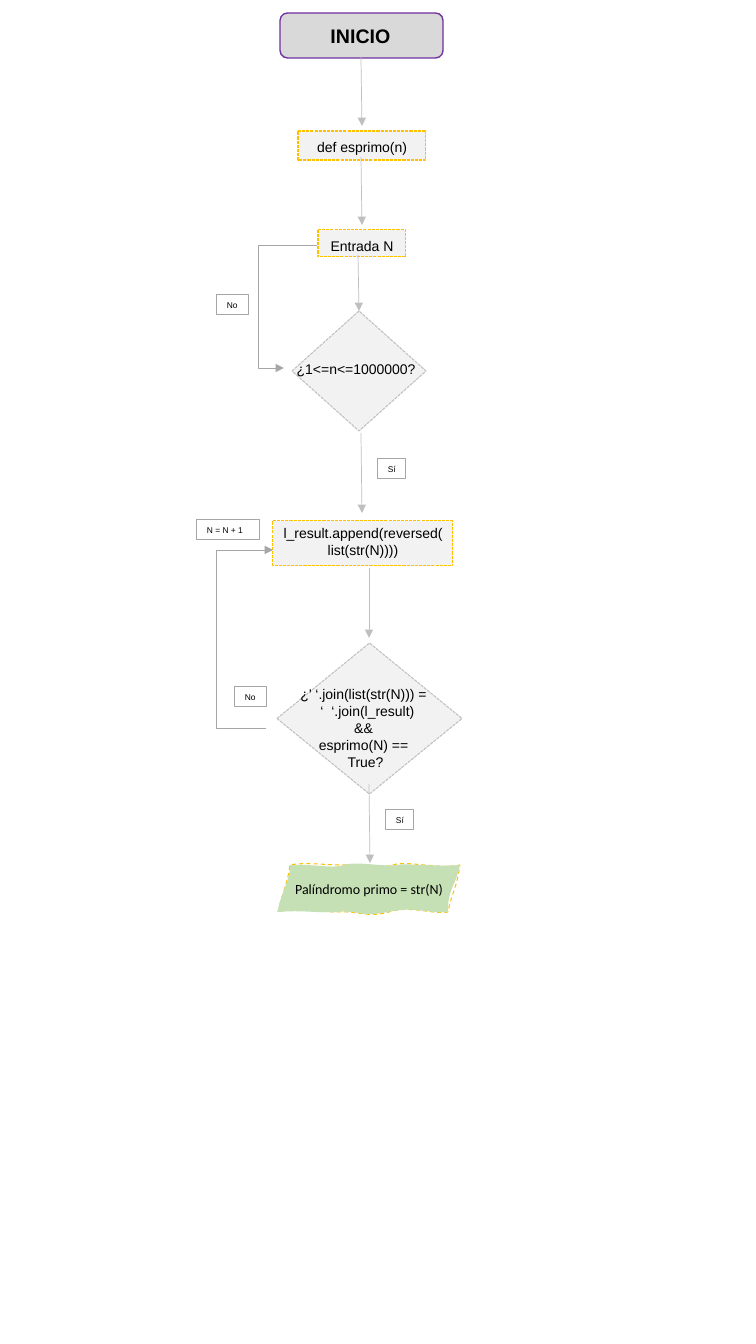
from dataclasses import dataclass

from lxml.etree import SubElement
from pptx import Presentation
from pptx.dml.color import RGBColor
from pptx.enum.dml import MSO_LINE
from pptx.enum.shapes import MSO_CONNECTOR, MSO_SHAPE
from pptx.enum.text import MSO_ANCHOR, PP_ALIGN
from pptx.oxml.ns import qn
from pptx.util import Pt

SCALE = 914400 / 100.8


@dataclass(frozen=True)
class Theme:
    """Colours, fonts and type sizes of the flowchart."""
    ink: str = "000000"
    start_fill: str = "D9D9D9"
    start_line: str = "7030A0"
    step_fill: str = "F2F2F2"
    process_line: str = "FFC000"
    arrow: str = "BFBFBF"
    loop: str = "A6A6A6"
    result_fill: str = "C5E0B4"
    font: str = "Arial"
    result_font: str = "Calibri"
    title: int = 14
    body: int = 10
    small: int = 6


T = Theme()

RESULT_START = (278, 912)
RESULT_OUTLINE = [
    ((284, 888), (288, 882), (290, 865)), ((305, 862), (325, 865), (342, 865)),
    ((359, 864), (381, 869), (393, 865)), ((405, 860), (442, 870), (460, 865)),
    ((457, 887), (452, 893), (448, 912)), ((434, 915), (410, 905), (389, 912)),
    ((369, 918), (357, 911), (339, 912)), ((320, 913), (306, 905), (278, 912)),
]
RESULT_BODY = [
    ((278, 900), (292, 876), (290, 865)), ((317, 864), (332, 869), (344, 865)),
    ((356, 861), (383, 867), (396, 865)), ((407, 863), (435, 867), (460, 865)),
    ((455, 888), (448, 888), (448, 912)), ((426, 914), (417, 906), (388, 912)),
    ((359, 918), (361, 910), (337, 912)), ((312, 913), (303, 910), (278, 912)),
]


def px(*values):
    """Turn pixels into EMU."""
    return [round(v * SCALE) for v in values]


def paint(s, fill=None, line=None, width=0.75, dash=None):
    """Set the fill and line of a shape; None leaves either out."""
    s.shadow.inherit = False
    if fill:
        s.fill.solid()
        s.fill.fore_color.rgb = RGBColor.from_string(fill)
    else:
        s.fill.background()
    s.line.color.rgb = RGBColor.from_string(line)
    s.line.width = Pt(width)
    s.line.dash_style = dash


def write(s, text, size=T.body, font=T.font, bold=False,
          align=PP_ALIGN.CENTER, anchor=MSO_ANCHOR.TOP):
    """Write text into a shape, one paragraph per line."""
    tf = s.text_frame
    tf.word_wrap = True
    tf.vertical_anchor = anchor
    for i, line in enumerate(text.split("\n")):
        p = tf.add_paragraph() if i else tf.paragraphs[0]
        p.alignment = align
        r = p.add_run()
        r.text = line
        r.font.size, r.font.name, r.font.bold = Pt(size), font, bold
        r.font.color.rgb = RGBColor.from_string(T.ink)


def add_step(shapes, kind, box, text_box, text, size=T.body, bold=False,
             **style):
    """Add a flowchart symbol grouped with its label."""
    group = shapes.add_group_shape().shapes
    paint(group.add_shape(kind, *px(*box)), **style)
    write(group.add_textbox(*px(*text_box)), text, size=size, bold=bold)


def add_tag(shapes, x, y, width, text):
    """Add a small framed note beside an arrow."""
    s = shapes.add_shape(MSO_SHAPE.RECTANGLE, *px(x, y, width, 20))
    paint(s, line=T.loop)
    write(s, text, size=T.small, align=PP_ALIGN.LEFT)
    s.text_frame.margin_right = 0


def add_arrow(shapes, x1, y1, x2, y2, color=T.arrow, via=None):
    """Add a straight arrow, or an elbow that runs through x = via."""
    kind = MSO_CONNECTOR.STRAIGHT if via is None else MSO_CONNECTOR.ELBOW
    s = shapes.add_connector(kind, *px(x1, y1, x2, y2))
    s.line.color.rgb = RGBColor.from_string(color)
    s.line.width = Pt(0.5)
    SubElement(s.line._get_or_add_ln(), qn("a:tailEnd"), type="triangle")
    sp = s._element.spPr
    SubElement(sp, qn("a:effectLst"))
    if via is not None:
        bend = round((via - x1) / (x2 - x1) * 100000)
        guides = sp.find(qn("a:prstGeom")).get_or_add_avLst()
        SubElement(guides, qn("a:gd"), name="adj1", fmla=f"val {bend}")


def add_curved(shapes, start, layers, **style):
    """Add one shape whose layers are (curves, path attributes) pairs."""
    corners = [end for _, _, end in layers[0][0]]
    builder = shapes.build_freeform(*px(*start))
    builder.add_line_segments([px(*pt) for pt in corners])
    s = builder.convert_to_shape()
    left, top = (min(axis) for axis in zip(*corners))

    def add_points(parent, tag, points):
        node = SubElement(parent, qn(tag))
        for point in points:
            x, y = px(point[0] - left, point[1] - top)
            SubElement(node, qn("a:pt"), x=str(x), y=str(y))

    paths = s._element.spPr.find(qn("a:custGeom")).find(qn("a:pathLst"))
    paths.clear()
    for curves, attributes in layers:
        layer = SubElement(paths, qn("a:path"), w=str(s.width),
                           h=str(s.height), **attributes)
        add_points(layer, "a:moveTo", [start])
        for curve in curves:
            add_points(layer, "a:cubicBezTo", curve)
        SubElement(layer, qn("a:close"))
    paint(s, **style)
    return s


def main():
    """Build the flowchart slide."""
    prs = Presentation()
    prs.slide_width, prs.slide_height = px(756, 1344)
    shapes = prs.slides.add_slide(prs.slide_layouts[6]).shapes

    add_step(shapes, MSO_SHAPE.FLOWCHART_ALTERNATE_PROCESS,
             (280, 13, 163, 45), (292, 19, 137, 34), "INICIO",
             size=T.title, bold=True,
             fill=T.start_fill, line=T.start_line, width=1)

    steps = [
        (MSO_SHAPE.FLOWCHART_PROCESS, T.process_line,
         (298, 131, 128, 29), (298, 134, 128, 65), "def esprimo(n)"),
        (MSO_SHAPE.FLOWCHART_PROCESS, T.process_line,
         (318, 230, 88, 27), (318, 233, 88, 27), "Entrada N"),
        (MSO_SHAPE.FLOWCHART_DECISION, T.arrow,
         (292, 311, 134, 120), (284, 356, 144, 27), "¿1<=n<=1000000?"),
        (MSO_SHAPE.FLOWCHART_PROCESS, T.process_line,
         (273, 521, 180, 45), (273, 520, 180, 61),
         "l_result.append(reversed(list(str(N))))"),
        (MSO_SHAPE.FLOWCHART_DECISION, T.arrow,
         (277, 643, 185, 151), (266, 681, 199, 95),
         "¿’ ‘.join(list(str(N))) = \n ‘  ‘.join(l_result)\n&& \n"
         "esprimo(N) == \nTrue?"),
    ]
    for kind, line, box, text_box, text in steps:
        add_step(shapes, kind, box, text_box, text,
                 fill=T.step_fill, line=line, dash=MSO_LINE.SQUARE_DOT)

    for ends in [(361, 57, 362, 126), (361, 157, 362, 225),
                 (358, 255, 359, 311), (361, 433, 362, 513),
                 (369, 568, 369, 638), (369, 784, 370, 863)]:
        add_arrow(shapes, *ends)
    add_arrow(shapes, 317, 245, 284, 368, color=T.loop, via=258)
    add_arrow(shapes, 266, 728, 273, 550, color=T.loop, via=216)

    for tag in [(217, 295, 32, "No"), (378, 459, 28, "Sí"),
                (197, 520, 63, "N = N + 1"), (235, 687, 32, "No"),
                (386, 810, 28, "Sí")]:
        add_tag(shapes, *tag)

    result = add_curved(shapes, RESULT_START,
                        [(RESULT_OUTLINE, {"fill": "none"}),
                         (RESULT_BODY, {"stroke": "0"})],
                        fill=T.result_fill, line=T.process_line,
                        dash=MSO_LINE.DASH)
    write(result, "Palíndromo primo = str(N)", font=T.result_font,
          anchor=MSO_ANCHOR.MIDDLE)

    prs.save("out.pptx")


main()
